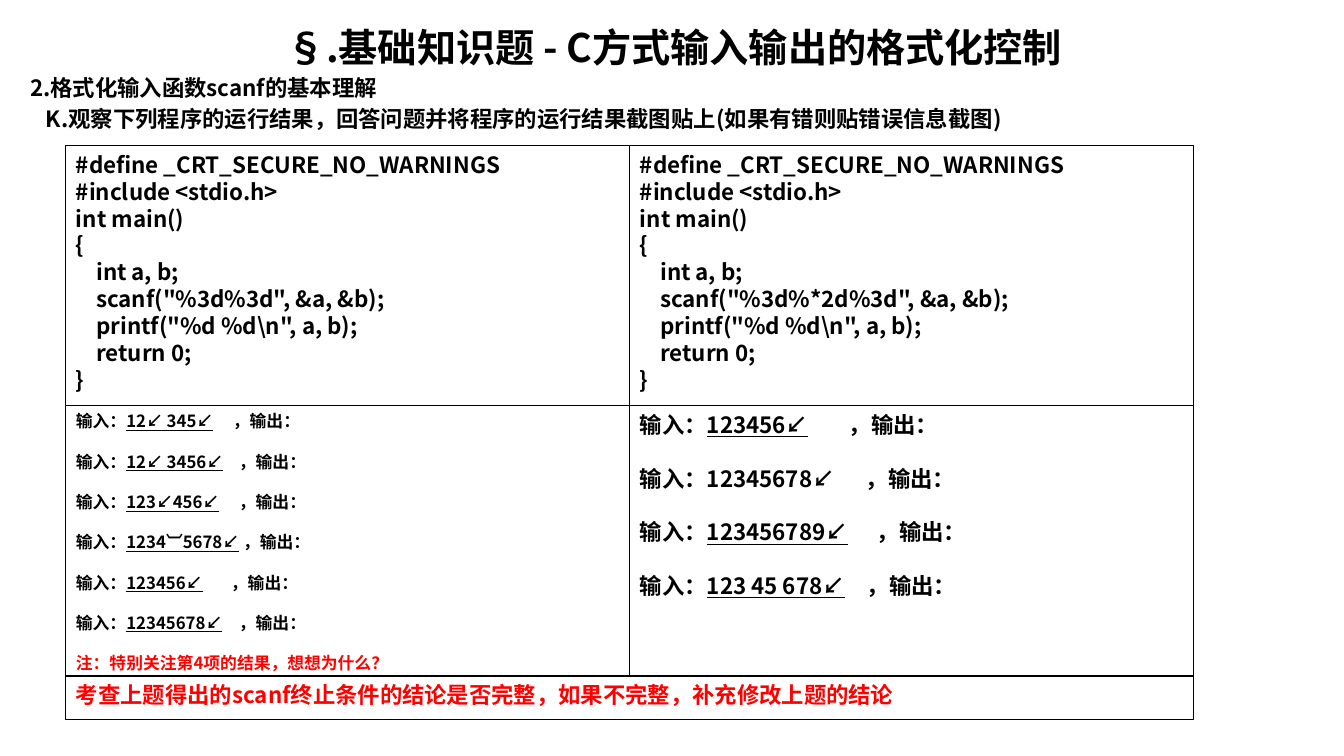
from pptx import Presentation
from pptx.dml.color import RGBColor
from pptx.enum.shapes import MSO_SHAPE as Shape
from pptx.enum.text import MSO_ANCHOR as Anchor, MSO_AUTO_SIZE as Fit, PP_ALIGN as Align
from pptx.oxml.ns import qn
from pptx.util import Emu, Pt
from lxml.etree import SubElement as Sub

BLACK = RGBColor(0, 0, 0)
RED = RGBColor(255, 0, 0)
FONT = "Noto Sans CJK SC"
LINE = 1.2  # line height as a multiple of the text size


def px(n):
    return Emu(round(n * 914400 / 100.8))


class Page:
    def __init__(self, deck):
        self.slide = deck.slides.add_slide(deck.slide_layouts[5])

    def style(self, par, size, color=BLACK, align=Align.LEFT):
        par.alignment = align
        font = par.font
        font.size, font.bold, font.name = Pt(size), True, FONT
        font.color.rgb = color
        Sub(par._p.pPr.find(qn("a:defRPr")), qn("a:ea"), typeface=FONT)

    def frame(self, shape):
        frame = shape.text_frame
        frame.word_wrap, frame.auto_size = True, Fit.NONE
        frame.vertical_anchor = Anchor.TOP
        frame.margin_left = frame.margin_right = px(10)
        frame.margin_top = frame.margin_bottom = px(5)
        return frame

    def pars(self, frame, count):
        return [frame.paragraphs[0]] + [frame.add_paragraph() for _ in range(count - 1)]

    def title(self, text, x, y, w, h):
        shape = self.slide.shapes.title
        shape.left, shape.top, shape.width, shape.height = map(px, (x, y, w, h))
        par = self.frame(shape).paragraphs[0]
        par.text = text
        self.style(par, 28, align=Align.CENTER)

    def topics(self, lines, x, y, w, h):
        box = self.slide.shapes.add_textbox(*map(px, (x, y, w, h)))
        for i, par in enumerate(self.pars(self.frame(box), len(lines))):
            par.text = lines[i]
            if i:
                par.space_before = Pt(3.2)
                par._p.get_or_add_pPr().set("marL", str(px(16)))
            self.style(par, 16)

    def cell(self, x, y, w, h):
        box = self.slide.shapes.add_shape(Shape.RECTANGLE, *map(px, (x, y, w, h)))
        box.shadow.inherit = False
        box.fill.background()
        box.line.color.rgb, box.line.width = BLACK, Pt(0.75)
        return self.frame(box)

    def text(self, text, *area, color=BLACK):
        frame = self.cell(*area)
        lines = text.split("\n")
        for par, line in zip(self.pars(frame, len(lines)), lines):
            par.text = line
            self.style(par, 16, color)

    def tests(self, rows, size, *area, note=None):
        """Each row: typed input, tab stop of the output label (None: one space), underline."""
        frame = self.cell(*area)
        pars = self.pars(frame, len(rows) + bool(note))
        for par, (typed, stop, under) in zip(pars, rows):
            if stop:
                tabs = Sub(par._p.get_or_add_pPr(), qn("a:tabLst"))
                Sub(tabs, qn("a:tab"), pos=str(px(stop)), algn="l")
            par.add_run().text = "输入："
            run = par.add_run()
            run.text = typed
            if under:
                run.font.underline = True
            par.add_run().text = ("\t" if stop else " ") + "，输出："
            self.style(par, size)
        if note:
            pars[-1].text = note
            self.style(pars[-1], size, RED)
        for par in pars[1:]:
            par.space_before = Pt(round(size * LINE, 1))


CODE = r"""#define _CRT_SECURE_NO_WARNINGS
#include <stdio.h>
int main()
{
    int a, b;
    scanf("FORMAT", &a, &b);
    printf("%d %d\n", a, b);
    return 0;
}"""
LEFT = [
    ("12↙ 345↙", 157, True),
    ("12↙ 3456↙", 163, True),
    ("123↙456↙", 163, True),
    ("1234︺5678↙", None, True),
    ("123456↙", 155, True),
    ("12345678↙", 163, True),
]
RIGHT = [
    ("123456↙", 209, True),
    ("12345678↙", 226, False),
    ("123456789↙", 237, True),
    ("123 45 678↙", 227, True),
]
X, WIDE = 66, 564
MID = X + WIDE
TOP, ROW, FOOT, END = 146, 406, 676, 720


def main():
    deck = Presentation()
    deck.slide_width, deck.slide_height = px(1344), px(756)
    page = Page(deck)

    # Heading
    page.title("§.基础知识题 - C方式输入输出的格式化控制", 20, 18, 1309, 57)
    page.topics([
        "2.格式化输入函数scanf的基本理解",
        "K.观察下列程序的运行结果，回答问题并将程序的运行结果截图贴上(如果有错则贴错误信息截图)",
    ], 20, 69, 1309, 70)

    # Programs
    for x, form in ((X, "%3d%3d"), (MID, "%3d%*2d%3d")):
        page.text(CODE.replace("FORMAT", form), x, TOP, WIDE, ROW - TOP)

    # Test inputs
    page.tests(LEFT, 12, X, ROW, WIDE, FOOT - ROW,
               note="注：特别关注第4项的结果，想想为什么？")
    page.tests(RIGHT, 16, MID, ROW, WIDE, FOOT - ROW)

    # Closing question
    page.text("考查上题得出的scanf终止条件的结论是否完整，如果不完整，补充修改上题的结论",
              X, FOOT, 2 * WIDE, END - FOOT, color=RED)

    deck.save("out.pptx")


if __name__ == "__main__":
    main()
